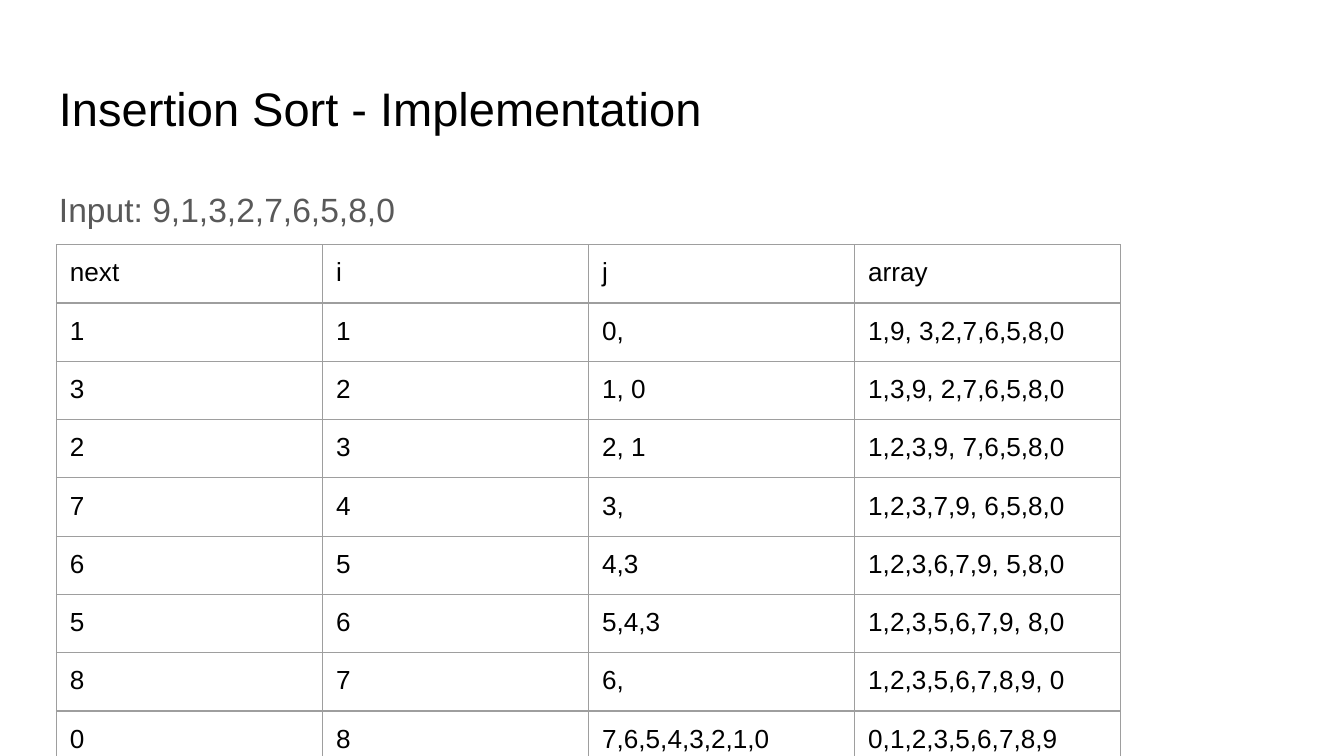
from dataclasses import dataclass

from lxml import etree
from pptx import Presentation
from pptx.dml.color import RGBColor
from pptx.enum.text import MSO_ANCHOR
from pptx.oxml.ns import qn
from pptx.util import Inches, Pt

TOP = MSO_ANCHOR.TOP
PLAIN_TABLE_STYLE = "{2D5ABB26-0587-4C30-8999-92F81FD0307C}"


@dataclass(frozen=True)
class Theme:
    font: str = "Arial"
    text: str = "000000"
    muted: str = "595959"
    border: str = "9E9E9E"
    background: str = "FFFFFF"
    title_size: float = 25.2
    body_size: float = 18
    cell_size: float = 14
    border_width: float = 0.75
    inset: float = 0.1


THEME = Theme()

HEADER = ("next", "i", "j", "array")
# One step of the sort per row: next value, visited j positions, array after it
STEPS = [
    ("1", "0,", "1,9, 3,2,7,6,5,8,0"),
    ("3", "1, 0", "1,3,9, 2,7,6,5,8,0"),
    ("2", "2, 1", "1,2,3,9, 7,6,5,8,0"),
    ("7", "3,", "1,2,3,7,9, 6,5,8,0"),
    ("6", "4,3", "1,2,3,6,7,9, 5,8,0"),
    ("5", "5,4,3", "1,2,3,5,6,7,9, 8,0"),
    ("8", "6,", "1,2,3,5,6,7,8,9, 0"),
    ("0", "7,6,5,4,3,2,1,0", "0,1,2,3,5,6,7,8,9"),
]


def set_insets(target):
    """Apply the common margin to a text frame or a table cell."""
    for side in ("left", "right", "top", "bottom"):
        setattr(target, f"margin_{side}", Inches(THEME.inset))


def write(tf, text, size, color, line_spacing=1.0):
    p = tf.paragraphs[0]
    p.text = text
    p.line_spacing = line_spacing
    p.space_before = Pt(0)
    p.font.name = THEME.font
    p.font.size = Pt(size)
    p.font.color.rgb = RGBColor.from_string(color)
    return p


def add_text(slide, box, text, size, color, line_spacing=1.0):
    tf = slide.shapes.add_textbox(*map(Inches, box)).text_frame
    tf.word_wrap = True
    tf.vertical_anchor = TOP
    set_insets(tf)
    return write(tf, text, size, color, line_spacing)


def set_borders(cell):
    tc_pr = cell._tc.get_or_add_tcPr()
    for i, side in enumerate(("lnL", "lnR", "lnT", "lnB")):
        ln = etree.Element(qn(f"a:{side}"), w=str(Pt(THEME.border_width)))
        fill = etree.SubElement(ln, qn("a:solidFill"))
        etree.SubElement(fill, qn("a:srgbClr"), val=THEME.border)
        tc_pr.insert(i, ln)


def add_title(slide, box):
    add_text(slide, box, "Insertion Sort - Implementation",
             THEME.title_size, THEME.text)


def add_input(slide, box):
    p = add_text(slide, box, "Input: 9,1,3,2,7,6,5,8,0",
                 THEME.body_size, THEME.muted, line_spacing=1.15)
    p.space_after = Pt(12)


def add_trace_table(slide, box):
    rows = [HEADER] + [(value, str(i), j, array)
                       for i, (value, j, array) in enumerate(STEPS, 1)]
    left, top, width, height = map(Inches, box)
    table = slide.shapes.add_table(len(rows), len(HEADER),
                                   left, top, width, height).table
    table.first_row = table.horz_banding = False
    table._tbl.tblPr.find(qn("a:tableStyleId")).text = PLAIN_TABLE_STYLE
    for r, row in enumerate(rows):
        for c, text in enumerate(row):
            cell = table.cell(r, c)
            cell.fill.background()
            cell.vertical_anchor = TOP
            set_insets(cell)
            set_borders(cell)
            write(cell.text_frame, text, THEME.cell_size, THEME.text)


def main():
    prs = Presentation()
    prs.slide_width = Inches(10)
    prs.slide_height = prs.slide_width * 9 // 16
    slide = prs.slides.add_slide(prs.slide_layouts[6])
    fill = slide.background.fill
    fill.solid()
    fill.fore_color.rgb = RGBColor.from_string(THEME.background)

    # Heading, input line, then the step-by-step trace
    add_title(slide, (0.34, 0.49, 9.32, 0.63))
    add_input(slide, (0.34, 1.26, 9.32, 3.74))
    add_trace_table(slide, (0.42, 1.82, 7.92, 3.75))

    prs.save("out.pptx")


if __name__ == "__main__":
    main()
